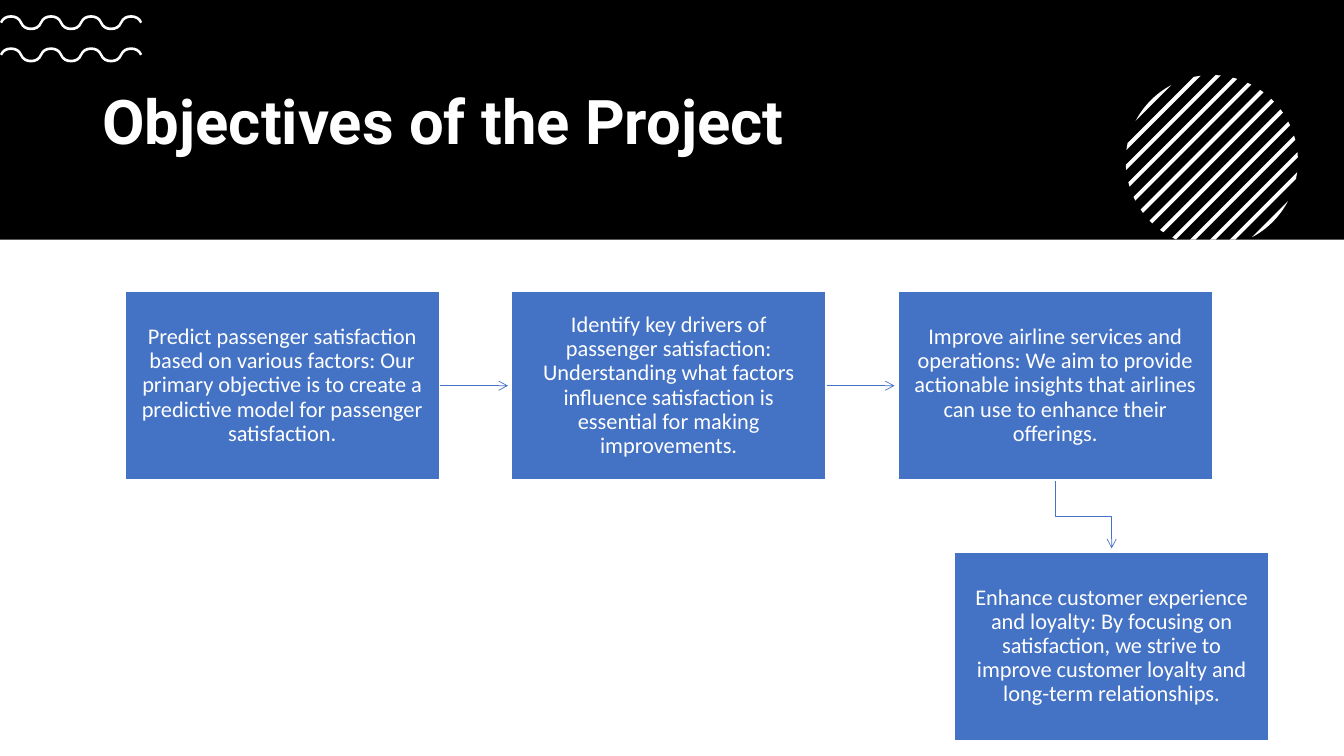
from math import acos, cos, pi, sin, tan

from lxml.etree import SubElement
from pptx import Presentation
from pptx.dml.color import RGBColor
from pptx.enum.shapes import MSO_CONNECTOR as Connector, MSO_SHAPE as Shape
from pptx.enum.text import MSO_ANCHOR as Anchor, PP_ALIGN as Align
from pptx.oxml.ns import qn
from pptx.util import Pt

BLACK, WHITE, BLUE = "000000", "FFFFFF", "4472C4"
HEADER_HEIGHT = 171.2
OBJECTIVES = [
    "Predict passenger satisfaction based on various factors: Our primary objective "
    "is to create a predictive model for passenger satisfaction.",
    "Identify key drivers of passenger satisfaction: Understanding what factors "
    "influence satisfaction is essential for making improvements.",
    "Improve airline services and operations: We aim to provide actionable insights "
    "that airlines can use to enhance their offerings.",
    "Enhance customer experience and loyalty: By focusing on satisfaction, we strive "
    "to improve customer loyalty and long-term relationships.",
]


def set_values(target, values):
    for name, value in values.items():
        setattr(target, name, value)


def color(target, hex_string):
    """Paint a fill, or the fill of a line or font, in one solid colour."""
    fill = target if hasattr(target, "solid") else target.fill
    fill.solid()
    fill.fore_color.rgb = RGBColor.from_string(hex_string)


def write(shape, text, frame_format, paragraph_format, font_format, hex_string):
    frame = shape.text_frame
    frame.text = text
    set_values(frame, frame_format)
    paragraph = frame.paragraphs[0]
    set_values(paragraph, paragraph_format)
    font = paragraph.runs[0].font
    set_values(font, font_format)
    color(font, hex_string)


def add_rectangle(slide, left, top, width, height, hex_string):
    shape = slide.shapes.add_shape(Shape.RECTANGLE, Pt(left), Pt(top), Pt(width), Pt(height))
    shape.shadow.inherit = False
    color(shape.fill, hex_string)
    shape.line.fill.background()
    return shape


def add_outline(slide, points, closed=True):
    """Draw points given in slide points, to a hundredth of a point."""
    corners = [(round(x * 100), round(y * 100)) for x, y in points]
    builder = slide.shapes.build_freeform(*corners[0], scale=Pt(1) / 100)
    builder.add_line_segments(corners[1:], close=closed)
    shape = builder.convert_to_shape()
    shape.shadow.inherit = False
    if closed:
        color(shape.fill, WHITE)
        shape.line.fill.background()
    else:
        shape.fill.background()
    return shape


def bend_lines(shape, starts):
    """Turn three line segments from each start index into one Bézier curve."""
    lines = list(shape._element.iter(qn("a:lnTo")))
    for start in starts:
        first, *others = lines[start:start + 3]
        first.tag = qn("a:cubicBezTo")
        for line in others:
            first.append(line[0])
            line.getparent().remove(line)


def style_arrow(shape):
    color(shape.line, BLUE)
    shape.line.width = Pt(0.5)
    SubElement(shape.line._get_or_add_ln(), qn("a:tailEnd"), type="arrow")


def wave_edge(left, middle, side):
    """Curve points of one ribbon edge; side is -1 for the upper, 1 for the lower."""
    crossing = middle + side * 0.45
    points = []
    for arch in range(7):
        x = left + 7.9 + 14.3 * arch
        direction = 1 if arch % 2 else -1
        reach, rise = (7.9, 5.4) if direction == side else (6.4, 3.5)
        apex = middle + direction * rise
        shoulder = crossing + 0.7 * (apex - crossing)
        half = [(1, crossing), (0.82, shoulder), (0.45, apex), (0, apex)]
        points += [(x - share * reach, y) for share, y in half[1 if arch else 0:]]
        points += [(x + share * reach, y) for share, y in half[2::-1]]
    return points


def add_wave(slide, left, middle):
    upper, lower = (wave_edge(left, middle, side) for side in (-1, 1))
    ribbon = add_outline(slide, upper + lower[::-1])
    bend_lines(ribbon, [*range(0, 42, 3), *range(43, 85, 3)])


def add_striped_disc(slide, center_x, center_y, radius, floor, pitch=10.03, half=1.4):
    """Diagonal stripes inside a circle, cut off level at the floor."""
    def rim_point(angle, distance=radius):
        x = center_x + distance * cos(pi / 4 + angle)
        y = center_y + distance * sin(pi / 4 + angle)
        excess = max(0, y - floor)
        return x + excess, y - excess

    def add_cap(middle):
        spread = acos((6 * pitch - half) / radius)
        handle = 4 / 3 * tan(spread / 2)
        turn, reach = spread - acos(1 / (1 + handle ** 2) ** 0.5), radius * (1 + handle ** 2) ** 0.5
        cap = add_outline(slide, [rim_point(middle - spread), rim_point(middle - turn, reach),
                                  rim_point(middle + turn, reach), rim_point(middle + spread)])
        bend_lines(cap, [0])

    add_cap(pi)
    for index in range(-5, 6):
        start, end = (acos((index * pitch + side) / radius) for side in (-half, half))
        add_outline(slide, [rim_point(angle) for angle in (start, end, -end, -start)])
    add_cap(0)


def add_header(slide, left, top, width, height):
    title = slide.shapes.title
    band = add_rectangle(slide, left, top, width, height, BLACK)
    title._element.addprevious(band._element)
    set_values(title, {"left": Pt(left + 66), "top": Pt(top + 44.9),
                       "width": Pt(828), "height": Pt(88.6)})
    write(title, "Objectives of the Project",
          {"vertical_anchor": Anchor.MIDDLE, "word_wrap": True},
          {"alignment": Align.LEFT, "line_spacing": 0.9},
          {"name": "Roboto", "size": Pt(44), "bold": True}, WHITE)
    for middle in (39.2, 16.2):
        add_wave(slide, left, top + middle)
    add_striped_disc(slide, left + 865.6, top + 115.1, 61.5, top + height)


def add_objective(slide, text, left, top, width, height):
    box = add_rectangle(slide, left, top, width, height, BLUE)
    color(box.line, WHITE)
    box.line.width = Pt(1)
    write(box, text,
          {"vertical_anchor": Anchor.MIDDLE, "word_wrap": True,
           "margin_left": Pt(11), "margin_right": Pt(11),
           "margin_top": Pt(11.5), "margin_bottom": Pt(11.5)},
          {"alignment": Align.CENTER, "line_spacing": 0.9},
          {"name": "Calibri", "size": Pt(16)}, WHITE)


def add_process(slide, left, top, width, height):
    """Three boxes in a row and a fourth one in the lower right corner."""
    box_width, box_height, pitch = 224.7, 134.8, 276.1
    places = [(left + column * pitch, top) for column in range(3)]
    places.append((left + width - box_width, top + height - box_height))

    for x, y in places[:2]:
        middle, start = Pt(y + box_height / 2), x + box_width
        arrow = slide.shapes.add_connector(
            Connector.STRAIGHT, Pt(start), middle, Pt(start + 49), middle)
        style_arrow(arrow)
        SubElement(arrow._element.spPr, qn("a:effectLst"))

    (start_x, start_y), (end_x, end_y) = [(x + box_width / 2, y) for x, y in places[2:]]
    start_y += box_height
    bend = (start_y + end_y) / 2
    elbow = add_outline(slide, [(start_x, start_y), (start_x, bend),
                                (end_x, bend), (end_x, end_y - 2.6)], closed=False)
    style_arrow(elbow)

    for text, (x, y) in zip(OBJECTIVES, places):
        add_objective(slide, text, x, y, box_width, box_height)


def main():
    presentation = Presentation()
    set_values(presentation, {"slide_width": Pt(960), "slide_height": Pt(540)})
    slide = presentation.slides.add_slide(presentation.slide_layouts[5])
    color(slide.background.fill, WHITE)
    add_header(slide, 0, 0, 960, HEADER_HEIGHT)
    add_process(slide, 89.2, 208.1, 817.2, 321)
    presentation.save("out.pptx")


if __name__ == "__main__":
    main()
